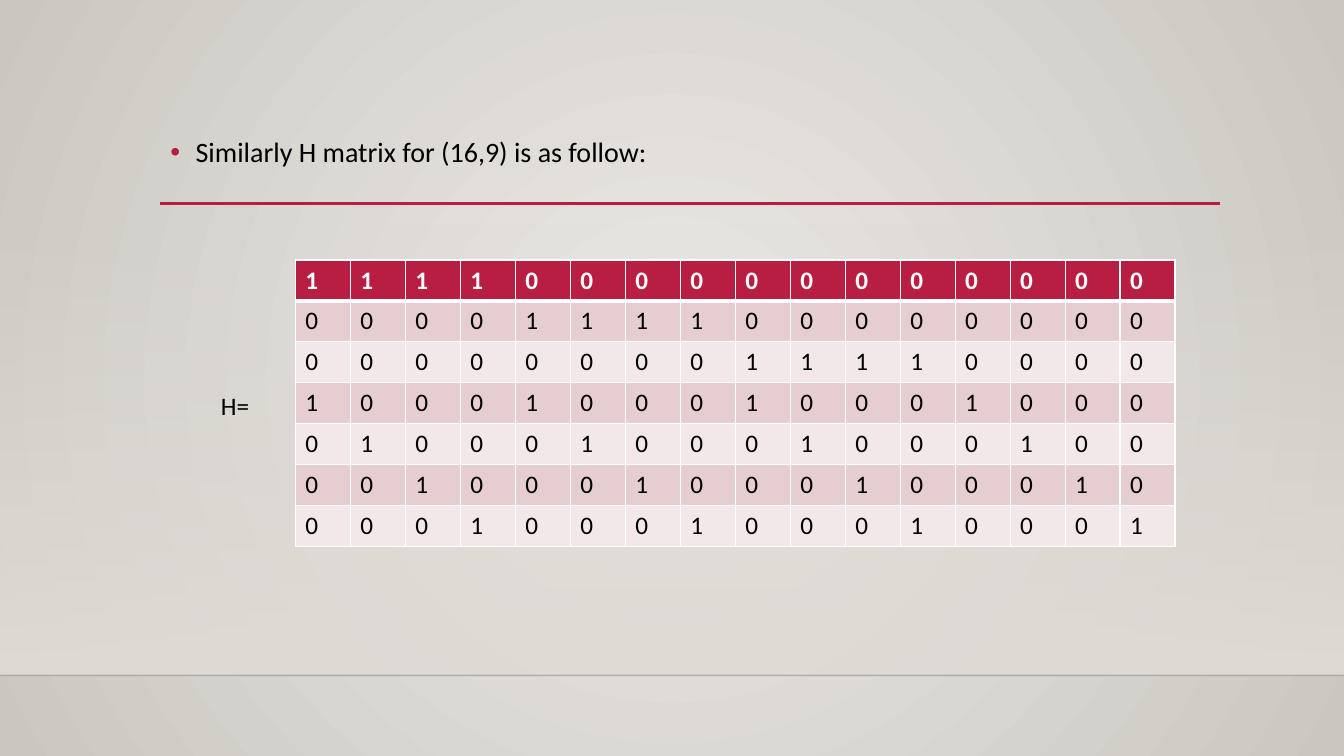
from lxml import etree
from pptx import Presentation
from pptx.dml.color import RGBColor
from pptx.enum.shapes import MSO_CONNECTOR, MSO_SHAPE
from pptx.enum.text import MSO_AUTO_SIZE
from pptx.oxml.ns import qn
from pptx.util import Inches, Pt

STRAIGHT = MSO_CONNECTOR.STRAIGHT
RECTANGLE = MSO_SHAPE.RECTANGLE
NO_AUTOFIT = MSO_AUTO_SIZE.NONE

CRIMSON, BLACK, WHITE = "B71E42", "000000", "FFFFFF"
BANDS = ("F3E8E9", "E6CDCF")
GROUP = 4
SIZE = 2 * GROUP + GROUP * 2


def colour(value):
    return RGBColor.from_string(value)


def apply(target, formats):
    for attribute, value in formats.items():
        setattr(target, attribute, value)


def child(parent, tag, **attributes):
    return etree.SubElement(parent, qn(tag), attributes)


def set_alpha(element, percent):
    """Make the first RGB colour inside element partly transparent."""
    child(element.xpath(".//a:srgbClr")[0], "a:alpha", val=str(percent * 1000))


def set_gradient(fill, start, end):
    fill.gradient()
    for stop, value, position in zip(fill.gradient_stops, (start, end), (0, 1)):
        stop.color.rgb = colour(value)
        stop.position = position


class MatrixSlide:
    """Slide style; lengths are percentages of the slide's width and height."""

    font = "Calibri"

    def __init__(self, deck):
        self.width, self.height = deck.slide_width, deck.slide_height
        self.slide = deck.slides.add_slide(deck.slide_layouts[1])
        title = self.slide.shapes.title.element
        title.getparent().remove(title)

    def box(self, left, top, width, height):
        return [round(share * side / 100) for share, side in
                zip((left, top, width, height), (self.width, self.height) * 2)]

    def style_run(self, run, size, value, bold=False):
        apply(run.font, {"name": self.font, "size": Pt(size), "bold": bold})
        run.font.color.rgb = colour(value)

    def background(self, centre, edge):
        set_gradient(self.slide.background.fill, centre, edge)
        gradient = self.slide.element.xpath(".//p:bgPr/a:gradFill")[0]
        gradient.remove(gradient.find(qn("a:lin")))
        circle = child(gradient, "a:path", path="circle")
        middle = dict.fromkeys("ltrb", "50000")
        child(circle, "a:fillToRect", **middle)

    def fading_band(self, area, value):
        band = self.slide.shapes.add_shape(RECTANGLE, *self.box(*area))
        band.shadow.inherit = False
        band.line.fill.background()
        set_gradient(band.fill, value, value)
        band.fill.gradient_angle = 270
        set_alpha(band.element.spPr, 0)

    def rule(self, left, right, y, value, weight, opacity=100):
        ends = self.box(left, y, right, y)
        line = self.slide.shapes.add_connector(STRAIGHT, *ends)
        line.line.color.rgb = colour(value)
        line.line.width = Pt(weight)
        properties = line.element.spPr
        if opacity < 100:
            set_alpha(properties, opacity)
        child(properties, "a:effectLst")

    def body(self, area, items):
        holder = self.slide.placeholders[1]
        apply(holder, dict(zip(("left", "top", "width", "height"), self.box(*area))))
        holder.element.getparent().append(holder.element)
        frame = holder.text_frame
        apply(frame, {"word_wrap": True, "auto_size": NO_AUTOFIT})
        for index, item in enumerate(items):
            paragraph = frame.add_paragraph() if index else frame.paragraphs[0]
            apply(paragraph, {"level": item["level"], "line_spacing": 1.2,
                              "space_before": Pt(item["before"])})
            run = paragraph.add_run()
            run.text = item["text"]
            self.style_run(run, item["size"], BLACK)
            properties = paragraph._p.get_or_add_pPr()
            properties.set("marL", str(Inches(item["margin"])))
            properties.set("indent", str(Inches(item["indent"])))
            if item["bullet"]:
                bullet_colour = child(properties, "a:buClr")
                child(bullet_colour, "a:srgbClr", val=CRIMSON)
                child(properties, "a:buChar", char=item["bullet"])
            else:
                child(properties, "a:buNone")

    def border(self, cell, side, weight):
        line = child(cell._tc.get_or_add_tcPr(), f"a:ln{side}", w=str(Pt(weight)))
        child(child(line, "a:solidFill"), "a:srgbClr", val=WHITE)

    def matrix(self, area, rows):
        grid = self.slide.shapes.add_table(len(rows), len(rows[0]), *self.box(*area)).table
        for r, row in enumerate(rows):
            header = r == 0
            for c, bit in enumerate(row):
                cell = grid.cell(r, c)
                weights = {"L": 1, "R": 1, "T": 3 if r == 1 else 1, "B": 3 if header else 1}
                for side, weight in weights.items():
                    self.border(cell, side, weight)
                cell.fill.solid()
                cell.fill.fore_color.rgb = colour(CRIMSON if header else BANDS[r % 2])
                run = cell.text_frame.paragraphs[0].add_run()
                run.text = str(bit)
                self.style_run(run, 18, WHITE if header else BLACK, header)


def parity_rows():
    """Three block checks, then one check for each position in a block."""
    blocks = [[int(c // GROUP == b) for c in range(SIZE)] for b in range(GROUP - 1)]
    positions = [[int(c % GROUP == p) for c in range(SIZE)] for p in range(GROUP)]
    return blocks + positions


def main():
    deck = Presentation()
    apply(deck, {"slide_width": Inches(13.33), "slide_height": Inches(7.5)})
    page = MatrixSlide(deck)
    page.background("ECEAE7", "CAC7C1")
    page.fading_band((0, 29.47, 100, 59.87), "DFDBD5")
    page.rule(0, 100, 89.33, "000001", 1, opacity=20)
    page.rule(11.93, 90.77, 26.93, CRIMSON, 2.5)
    page.body((11.93, 16.27, 78.77, 63.47), [
        {"text": "Similarly H matrix for (16,9) is as follow:", "level": 0, "size": 20,
         "before": 10, "margin": 0.25, "indent": -0.25, "bullet": "•"},
        {"text": "H=", "level": 1, "size": 18,
         "before": 154, "margin": 0.5, "indent": 0, "bullet": None},
    ])
    page.matrix((21.98, 34.4, 65.49, 37.87), parity_rows())
    deck.save("out.pptx")


if __name__ == "__main__":
    main()
